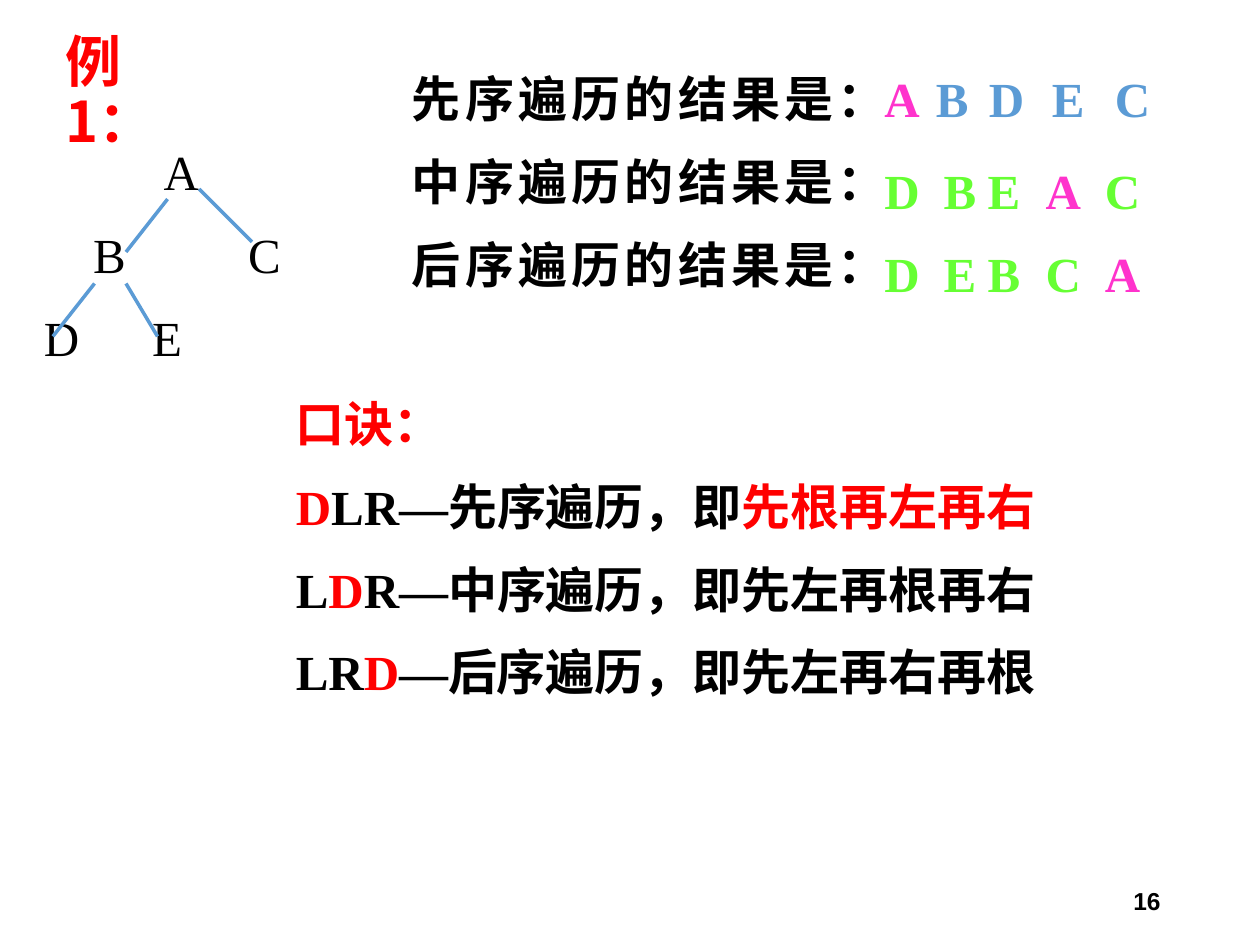
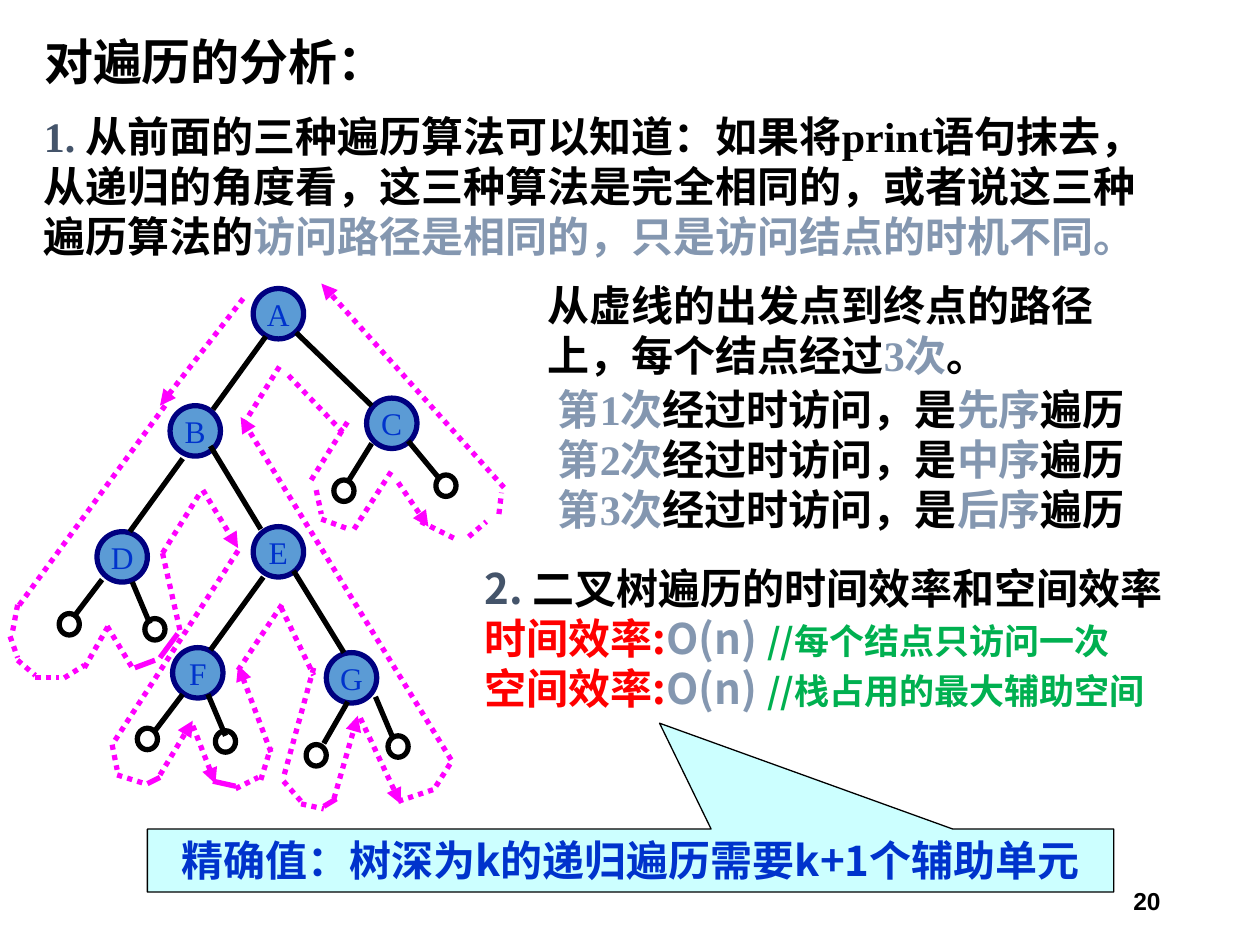
from lxml import etree
from pptx import Presentation
from pptx import util as u
from pptx.dml.color import RGBColor
from pptx.enum import dml, lang, shapes, text
from pptx.oxml import ns

COLORS = {
    "black": "000000", "red": "FF0000", "blue": "5B9BD5", "navy": "000080",
    "ink": "0033CC", "pink": "FF33CC", "lime": "66FF33", "magenta": "FF00FF",
    "slate": "44546A", "steel": "8497B0", "green": "00B050", "cyan": "CCFFFF",
}
SERIF, SANS = "Times New Roman", "Noto Sans CJK SC"
LEFT, CENTER = text.PP_ALIGN.LEFT, text.PP_ALIGN.CENTER
RIGHT, JUSTIFY = text.PP_ALIGN.RIGHT, text.PP_ALIGN.JUSTIFY
LINE_HEIGHT = 1.19


def write(shape, lines, size, font=SERIF, bold=True, align=LEFT, wrap=True,
          gap=0, spacing=LINE_HEIGHT, tabs=()):
    """Fill a shape; each line is a list of (text, colour[, size]) runs."""
    frame = shape.text_frame
    frame.word_wrap = wrap
    frame.auto_size = text.MSO_AUTO_SIZE.NONE
    for index, runs in enumerate(lines):
        paragraph = frame.add_paragraph() if index else frame.paragraphs[0]
        if tabs:
            stops = tabs[index] if isinstance(tabs[0], list) else tabs
            tab_list = etree.SubElement(paragraph._p.get_or_add_pPr(), ns.qn("a:tabLst"))
            for stop in stops:
                etree.SubElement(tab_list, ns.qn("a:tab"), pos=str(u.Inches(stop)), algn="l")
        paragraph.alignment = align
        paragraph.line_spacing = u.Pt(round(size * spacing, 1))
        paragraph.space_before = u.Pt(gap if index else 0)
        paragraph.font.size = u.Pt(size)
        paragraph.font.name = font
        paragraph.font.bold = bold
        for content, color, *run_size in runs:
            run = paragraph.add_run()
            run.text = content
            run.font.language_id = lang.MSO_LANGUAGE_ID.SIMPLIFIED_CHINESE
            run.font.color.rgb = RGBColor.from_string(COLORS[color])
            if run_size:
                run.font.size = u.Pt(run_size[0])
            etree.SubElement(run.font._element, ns.qn("a:ea"), typeface=SANS)


def draw_line(slide, ends, color, width, dotted=False, arrow=False):
    connector = slide.shapes.add_connector(
        shapes.MSO_CONNECTOR.STRAIGHT, *[u.Inches(value) for value in ends])
    connector.line.color.rgb = RGBColor.from_string(COLORS[color])
    connector.line.width = u.Pt(width)
    if dotted:
        connector.line.dash_style = dml.MSO_LINE.ROUND_DOT
        connector.line._ln.find(ns.qn("a:prstDash")).set("val", "sysDot")
    if arrow:
        etree.SubElement(connector.line._ln, ns.qn("a:tailEnd"), type="triangle")
    etree.SubElement(connector._element.spPr, ns.qn("a:effectLst"))


presentation = Presentation()
presentation.slide_width, presentation.slide_height = u.Inches(10), u.Inches(7.5)

# Titles and page numbers
slides = []
for title, box, size, color, right_margin, number in [
    ("例1：", (0.42, 0.42, 1.42, 0.64), 32, "red", 0.4, "16"),
    ("对遍历的分析：", (0.25, 0.17, 8.5, 0.67), 28, "black", 0.1, "20"),
]:
    slide = presentation.slides.add_slide(presentation.slide_layouts[5])
    slides.append(slide)
    shape = slide.shapes.title
    shape.left, shape.top, shape.width, shape.height = [u.Inches(value) for value in box]
    shape.text_frame.vertical_anchor = text.MSO_ANCHOR.MIDDLE
    shape.text_frame.margin_right = u.Inches(right_margin)
    write(shape, [[(title, color)]], size, SANS, spacing=LINE_HEIGHT * 0.9)
    page = slide.shapes.add_textbox(u.Inches(7.06), u.Inches(6.95), u.Inches(2.25), u.Inches(0.4))
    page.text_frame.vertical_anchor = text.MSO_ANCHOR.MIDDLE
    write(page, [[(number, "black")]], 14, "Arial", align=RIGHT)
example, analysis = slides

# Example: text blocks with one line per traversal order
orders = ["先序", "中序", "后序"]
example_blocks = [
    ((3.17, 0.5, 3.58, 1.97), [[(order + "遍历的结果是：", "black")] for order in orders],
     {"align": JUSTIFY}),
    ((0.25, 1.08, 2.75, 1.97),
     [[("\tA", "black")], [("\tB\tC", "black")], [("D\tE", "black")]],
     {"bold": False, "tabs": [[0.95], [0.39, 1.62], [0.86]]}),
    ((6.92, 1.23, 2.42, 1.27),
     [[("D\tB\tE\t", "lime"), ("A", "pink"), ("\tC", "lime")],
      [("D\tE\tB\tC\t", "lime"), ("A", "pink")]],
     {"tabs": (0.47, 0.82, 1.28, 1.75)}),
    ((2.25, 3.08, 6.33, 2.67),
     [[("口诀：", "red")],
      [("D", "red"), ("LR—先序遍历，即", "black"), ("先根再左再右", "red")],
      [("L", "black"), ("D", "red"), ("R—中序遍历，即先左再根再右", "black")],
      [("LR", "black"), ("D", "red"), ("—后序遍历，即先左再右再根", "black")]], {}),
]
for box, lines, options in example_blocks:
    shape = example.shapes.add_textbox(*[u.Inches(value) for value in box])
    write(shape, lines, 28, gap=14, **options)

# Example: tree branches
for ends in [(1.33, 1.58, 1, 2), (1.58, 1.5, 2, 1.92),
             (1, 2.25, 1.25, 2.67), (0.75, 2.25, 0.42, 2.67)]:
    draw_line(example, ends, "blue", 2)

# Example: preorder result, letter by letter
for letter, left in zip("ABDEC", (6.92, 7.33, 7.75, 8.25, 8.75)):
    shape = example.shapes.add_textbox(u.Inches(left), u.Inches(0.5), u.Inches(0.48), u.Inches(0.57))
    write(shape, [[(letter, "pink" if letter == "A" else "blue")]], 28, wrap=False)

# Analysis: text blocks
analysis_blocks = [
    ((0.25, 0.83, 9.17, 1.31), SERIF, True,
     [[("1. ", "slate"),
       ("从前面的三种遍历算法可以知道：如果将print语句抹去，从递归的角度看，"
        "这三种算法是完全相同的，或者说这三种遍历算法的", "black"),
       ("访问路径是相同的，只是访问结点的时机不同。", "steel")]]),
    ((4.25, 2.17, 4.6, 0.91), SERIF, False,
     [[("从虚线的出发点到终点的路径", "black")],
      [("上，每个结点经过", "black"), ("3次", "steel"), ("。", "black")]]),
    ((4.33, 3, 5.25, 1.31), SERIF, True,
     [[(f"第{visit}次", "steel"), ("经过时访问，是", "black"), (order, "steel"), ("遍历", "black")]
      for visit, order in enumerate(orders, 1)]),
    ((3.75, 4.42, 5.92, 1.31), SANS, True,
     [[("2. ", "slate"), ("二叉树遍历的时间效率和空间效率", "black")]]
     + [[(name + "效率:", "red"), ("O(n) ", "steel"), ("//" + remark, "green", 20)]
        for name, remark in [("时间", "每个结点只访问一次"), ("空间", "栈占用的最大辅助空间")]]),
]
for box, font, wrap, lines in analysis_blocks:
    shape = analysis.shapes.add_textbox(*[u.Inches(value) for value in box])
    write(shape, lines, 24, font, wrap=wrap)

# Analysis: labelled nodes
nodes = {"A": (2.01, 2.29), "F": (1.37, 5.14), "E": (2.01, 4.18), "D": (0.77, 4.22),
         "C": (2.91, 3.16), "B": (1.35, 3.22), "G": (2.59, 5.18)}
for letter, (left, top) in nodes.items():
    node = analysis.shapes.add_shape(shapes.MSO_SHAPE.OVAL, u.Inches(left), u.Inches(top),
                                     u.Inches(0.4), u.Inches(0.4))
    node.shadow.inherit = False
    node.fill.solid()
    node.fill.fore_color.rgb = RGBColor.from_string(COLORS["blue"])
    node.line.color.rgb = RGBColor.from_string(COLORS["navy"])
    node.line.width = u.Pt(3)
    node.text_frame.vertical_anchor = text.MSO_ANCHOR.MIDDLE
    write(node, [[(letter, "ink")]], 18, bold=False, align=CENTER, wrap=False)

# Analysis: empty leaves
for left, top in [(0.47, 4.87), (1.15, 4.91), (1.09, 5.78), (1.71, 5.8),
                  (2.43, 5.91), (3.08, 5.84), (3.46, 3.77), (2.65, 3.81)]:
    leaf = analysis.shapes.add_shape(shapes.MSO_SHAPE.OVAL, u.Inches(left), u.Inches(top),
                                     u.Inches(0.16), u.Inches(0.17))
    leaf.shadow.inherit = False
    leaf.fill.background()
    leaf.line.color.rgb = RGBColor.from_string(COLORS["black"])
    leaf.line.width = u.Pt(3)

# Analysis: tree branches, then the walk around the tree
branches = [
    (2.11, 2.67, 1.69, 3.25), (1.45, 3.64, 1.03, 4.22), (2.09, 4.58, 1.67, 5.16),
    (2.95, 3.52, 2.77, 3.81), (2.35, 2.64, 2.95, 3.22), (1.67, 3.54, 2.07, 4.2),
    (2.33, 4.53, 2.73, 5.18), (0.81, 4.6, 0.59, 4.89), (1.05, 4.62, 1.19, 4.95),
    (1.45, 5.51, 1.23, 5.8), (2.76, 5.57, 2.57, 5.9), (1.65, 5.51, 1.79, 5.84),
    (2.98, 5.53, 3.12, 5.86), (3.24, 3.5, 3.48, 3.79),
]
solid_steps = [
    (1.17, 6.22, 1.27, 6.17), (1.69, 6.2, 1.87, 6.24), (2.57, 6.4, 2.67, 6.34),
    (1.07, 5.3, 1.23, 5.24), (1.27, 5.22, 1.41, 5.03),
]
dotted_steps = [
    (0.08, 5.05, 0.14, 5.22), (0.28, 5.38, 0.47, 5.38), (3.96, 4.08, 3.98, 3.91),
    (1.31, 3.22, 0.14, 4.82), (0.14, 4.8, 0.1, 5.01), (0.14, 5.24, 0.28, 5.36),
    (0.51, 5.38, 0.67, 5.28), (0.67, 5.3, 0.87, 4.95), (0.85, 4.97, 1.05, 5.3),
    (1.29, 4.39, 1.43, 5.01), (1.29, 4.39, 1.59, 3.91), (1.89, 4.37, 0.91, 5.88),
    (0.89, 5.91, 0.93, 6.11), (0.93, 6.15, 1.15, 6.22), (1.87, 6.26, 2.05, 6.17),
    (2.07, 6.19, 2.15, 5.93), (1.89, 5.32, 2.25, 4.78), (2.23, 4.82, 2.49, 5.36),
    (2.49, 5.3, 2.25, 6.17), (2.25, 6.2, 2.39, 6.36), (2.39, 6.38, 2.57, 6.42),
    (3.16, 6.36, 3.46, 6.26), (3.46, 6.24, 3.58, 6.05), (2.81, 4.2, 3.12, 3.72),
    (3.34, 4.14, 3.62, 4.28), (3.72, 4.26, 3.86, 4.14), (1.93, 3.37, 2.23, 2.89),
    (2.29, 2.98, 2.72, 3.43), (2.47, 3.81, 2.77, 3.33), (2.51, 3.89, 2.55, 4.08),
    (2.55, 4.12, 2.77, 4.2),
]
dotted_arrows = [
    (1.93, 2.37, 1.27, 3.22), (1.61, 3.89, 1.89, 4.35), (1.27, 6.15, 1.53, 5.72),
    (1.53, 5.76, 1.71, 6.22), (2.15, 5.97, 1.89, 5.28), (2.65, 6.34, 2.84, 5.68),
    (2.86, 5.7, 3.18, 6.38), (3.58, 6.03, 1.91, 3.31), (3.16, 3.83, 3.4, 4.18),
    (4, 3.87, 2.55, 2.25),
]
for group, color, dotted, arrow in [
    (branches, "black", False, False), (solid_steps, "magenta", False, False),
    (dotted_steps, "magenta", True, False), (dotted_arrows, "magenta", True, True),
]:
    for ends in group:
        draw_line(analysis, ends, color, 3, dotted, arrow)

# Analysis: callout pointing at the space cost
callout = analysis.shapes.add_shape(shapes.MSO_SHAPE.RECTANGULAR_CALLOUT, u.Inches(1.17),
                                    u.Inches(6.58), u.Inches(7.67), u.Inches(0.5))
callout.adjustments[0], callout.adjustments[1] = 0.03, -2.18
callout.shadow.inherit = False
callout.fill.solid()
callout.fill.fore_color.rgb = RGBColor.from_string(COLORS["cyan"])
callout.line.color.rgb = RGBColor.from_string(COLORS["black"])
callout.line.width = u.Pt(0.75)
callout.text_frame.vertical_anchor = text.MSO_ANCHOR.TOP
callout.text_frame.margin_left = callout.text_frame.margin_right = 0
write(callout, [[("精确值：树深为k的递归遍历需要k+1个辅助单元", "ink")]], 24, SANS, align=CENTER)

presentation.save("out.pptx")
